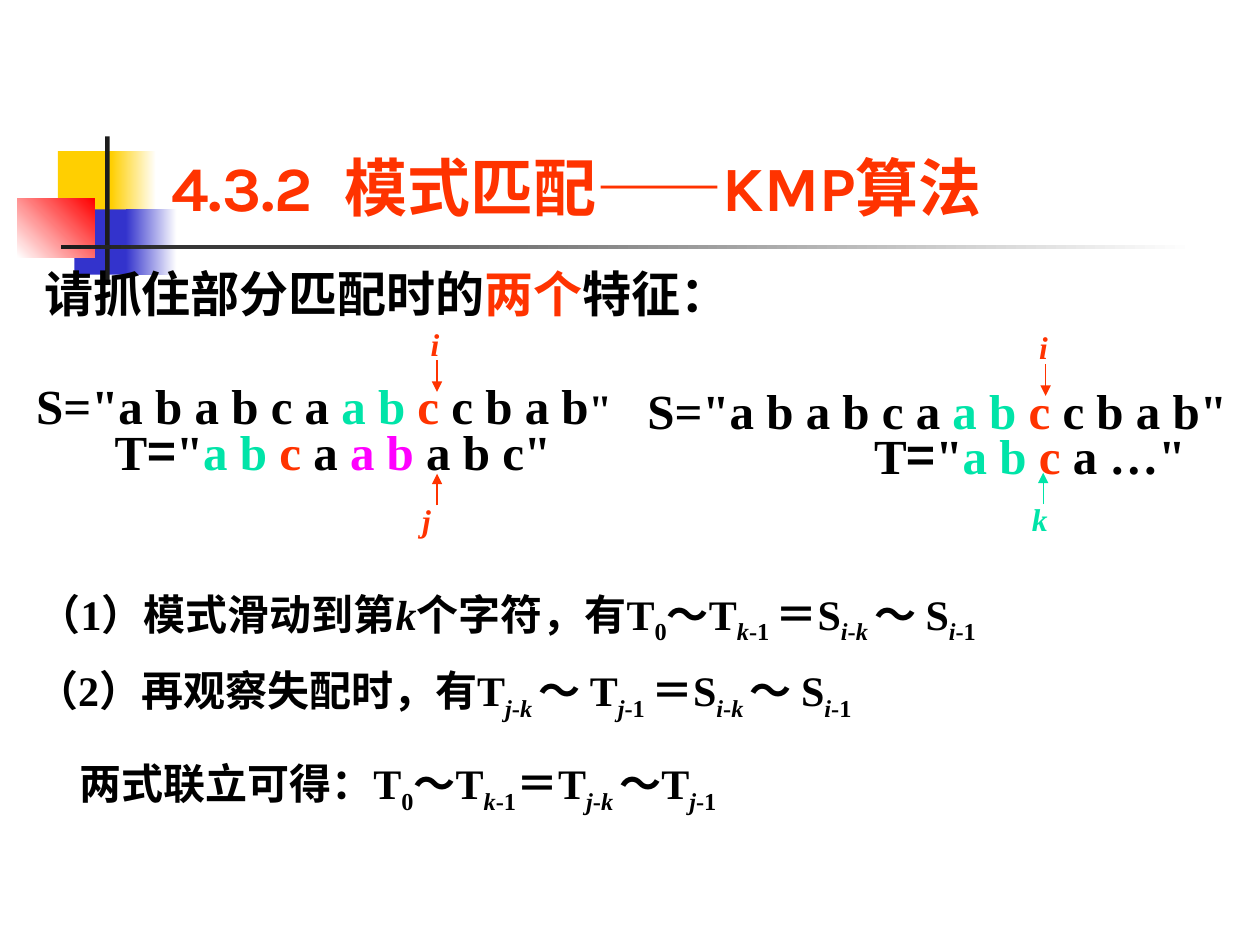
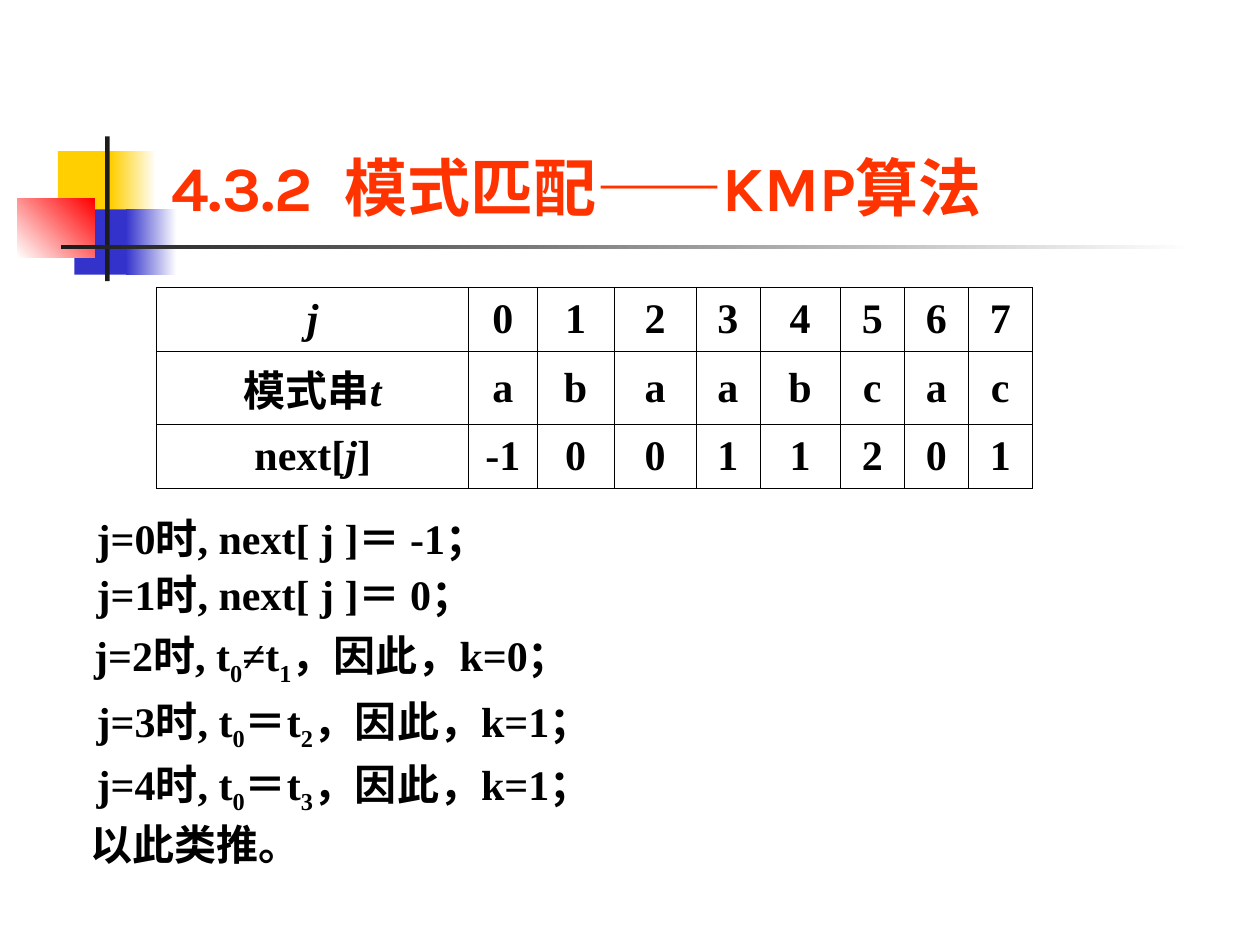
import pptx
import pptx.chart.data
import pptx.dml.color
import pptx.enum.dml
import pptx.enum.shapes
import pptx.enum.text
import pptx.oxml
import pptx.util
from dataclasses import dataclass
from lxml import etree

Cm, Pt = pptx.util.Cm, pptx.util.Pt
ANCHOR = pptx.enum.text.MSO_ANCHOR
ALIGN = pptx.enum.text.PP_ALIGN
A = "{http://schemas.openxmlformats.org/drawingml/2006/main}"


@dataclass(frozen=True)
class Theme:
    ink: str = "000000"
    red: str = "FF3300"
    mint: str = "00E4A8"
    pink: str = "FF00FF"
    bar: str = "1C1C1C"
    gold: str = "FFCF01"
    blue: str = "3333CC"
    scarlet: str = "FF0000"
    white: str = "FFFFFF"
    serif: str = "Times New Roman"
    sans: str = "Karla"
    dash: str = "Arial"
    chinese: str = "Noto Sans CJK SC"
    title: int = 36
    string: int = 28
    body: int = 24
    label: int = 18
    rule: float = 0.45
    arrow: float = 0.75


theme = Theme()

STYLES = {
    "plain": {},
    "italic": {"italic": True},
    "sub": {"sub": True},
    "subital": {"sub": True, "italic": True},
    "red": {"color": theme.red},
    "mint": {"color": theme.mint},
    "pink": {"color": theme.pink},
    "small": {"size": theme.body},
    "gothic": {"name": theme.chinese},
    "title": {"name": theme.sans, "color": theme.red},
    "dash": {"name": theme.dash, "color": theme.red},
    "redlabel": {"color": theme.red, "italic": True},
    "mintlabel": {"color": theme.mint, "italic": True},
}

ORNAMENTS = [
    (1.17, 3.05, 1.22, 1.32, [theme.gold], 0),
    (2.24, 3.05, 0.91, 1.32, [theme.gold, theme.white], 0),
    (1.5, 4.22, 1.17, 1.32, [theme.blue], 0),
    (2.54, 4.22, 1.02, 1.32, [theme.blue, theme.white], 0),
    (0.35, 4.01, 1.56, 1.18, [theme.white, theme.scarlet], 45),
    (2.12, 2.75, 0.09, 2.92, [theme.bar], 0),
    (1.23, 4.94, 22.86, 0.09, [theme.bar, theme.white], 0),
]
TITLE = [("4.3.2  模式匹配", "title"), ("——", "dash"), ("KMP算法", "title")]

SOURCE_START = [('S="a b a b c a ', "plain"), ("a b ", "mint"), ("c", "red")]
PATTERN_START = [("T", "plain"), ("=", "gothic"), ('"', "plain"),
                 ("a b ", "mint"), ("c", "red")]
STRINGS = [
    (0.64, 5.18, 14.9, [("请抓住部分匹配时的", "plain"), ("两个", "red"), ("特征：", "plain")]),
    (0.48, 7.44, 13.06, SOURCE_START + [(" c b a b", "plain"), ('"', "small")]),
    (12.8, 7.54, 12.88, SOURCE_START + [(' c b a b"', "plain")]),
    (17.37, 8.46, 7.47, PATTERN_START + [(' a …"', "plain")]),
    (2.06, 8.38, 9.93, PATTERN_START + [(" a ", "plain"), ("a b", "pink"),
                                        (' a b c"', "plain")]),
]
POINTERS = [
    ("i", "red", 8.43, 6.43, 8.81, 7.26, 7.9),
    ("j", "red", 8.26, 9.98, 8.81, 10.19, 9.55),
    ("i", "red", 20.7, 6.48, 21.08, 7.34, 7.98),
    ("k", "mint", 20.55, 9.96, 21.03, 10.16, 9.53),
]

S_RANGE = [("＝S", "plain"), ("i", "subital"), ("-", "sub"), ("k ", "subital"),
           ("～ S", "plain"), ("i", "subital"), ("-1", "sub")]
T_FROM_ZERO = [("0", "sub"), ("～T", "plain"), ("k", "subital")]
T_FROM_J = [("j", "subital"), ("-", "sub"), ("k ", "subital")]
EQUATIONS = [
    (0.53, 11.73, 23.24, 1.0,
     [("（1）模式滑动到第", "plain"), ("k", "italic"), ("个字符，有T", "plain"),
      *T_FROM_ZERO, ("-1 ", "sub"), *S_RANGE]),
    (0.48, 13.28, 21.39, 1.0,
     [("（2）再观察失配时，有T", "plain"), *T_FROM_J, ("～ T", "plain"),
      ("j", "subital"), ("-1 ", "sub"), *S_RANGE]),
    (1.35, 15.09, 23.5, 1.05,
     [("两式联立可得：T", "plain"), *T_FROM_ZERO, ("-1", "sub"), ("＝T", "plain"),
      *T_FROM_J, ("～T", "plain"), ("j", "subital"), ("-1", "sub")]),
]

TABLE_AT = (3.16, 5.79)
COLUMN_WIDTHS = [6.29, 1.38, 1.55, 1.65, 1.29, 1.62, 1.29, 1.29, 1.29]
ROW_HEIGHT = 1.29
NEXT_TABLE = [
    ([("j", "italic")], "0 1 2 3 4 5 6 7"),
    ([("模式串", "plain"), ("t", "italic")], "a b a a b c a c"),
    ([("next[", "plain"), ("j", "italic"), ("]", "plain")], "-1 0 0 1 1 2 0 1"),
]
BASE_CASES = [(0, "-1"), (1, "0")]
COMPARISONS = [
    (1.65, 12.57, 2, "≠", 1, 0),
    (1.7, 13.89, 3, "＝", 2, 1),
    (1.7, 15.16, 4, "＝", 3, 1),
]
CLOSING = [("以此类推。", "plain")]


def rgb(value):
    return pptx.dml.color.RGBColor.from_string(value)


def set_all(target, values):
    for name, value in values.items():
        setattr(target, name, value)


def write_para(para, runs, size, **layout):
    set_all(para, layout)
    for text, style in runs:
        look = {"name": theme.serif, "size": size, "color": theme.ink,
                "bold": True, "italic": False, "sub": False, **STYLES[style]}
        color, sub = look.pop("color"), look.pop("sub")
        look["size"] = Pt(look["size"])
        span = para.add_run()
        span.text = text
        set_all(span.font, look)
        span.font.color.rgb = rgb(color)
        props = span._r.get_or_add_rPr()
        etree.SubElement(props, A + "ea", typeface=theme.chinese)
        if sub:
            props.set("baseline", "-25000")


def add_text(page, left, top, width, height, paras, size, spacing=1.0,
             anchor=ANCHOR.TOP, fit=pptx.enum.text.MSO_AUTO_SIZE.SHAPE_TO_FIT_TEXT):
    box = page.shapes.add_textbox(Cm(left), Cm(top), Cm(width), Cm(height))
    frame = box.text_frame
    set_all(frame, {"word_wrap": True, "auto_size": fit, "vertical_anchor": anchor})
    for index, runs in enumerate(paras):
        para = frame.add_paragraph() if index else frame.paragraphs[0]
        write_para(para, runs, size, line_spacing=spacing)


def add_ornament(page, left, top, width, height, colors, angle):
    shape = page.shapes.add_shape(pptx.enum.shapes.MSO_SHAPE.RECTANGLE,
                                  Cm(left), Cm(top), Cm(width), Cm(height))
    shape.shadow.inherit = False
    shape.line.fill.background()
    if len(colors) == 1:
        shape.fill.solid()
        shape.fill.fore_color.rgb = rgb(colors[0])
        return
    shape.fill.gradient()
    shape.fill.gradient_angle = angle
    for stop, color in zip(shape.fill.gradient_stops, colors):
        stop.color.rgb = rgb(color)


def add_page(deck):
    page = deck.slides.add_slide(deck.slide_layouts[6])
    for ornament in ORNAMENTS:
        add_ornament(page, *ornament)
    add_text(page, 3.2, 0.58, 21.64, 4.06, [TITLE], theme.title,
             anchor=ANCHOR.BOTTOM, fit=pptx.enum.text.MSO_AUTO_SIZE.NONE)
    return page


def add_pointer(page, name, color, left, top, x, start, end):
    add_text(page, left, top, 0.87, 1.02, [[(name, color + "label")]], theme.label)
    arrow = page.shapes.add_connector(pptx.enum.shapes.MSO_CONNECTOR.STRAIGHT,
                                      Cm(x), Cm(start), Cm(x), Cm(end))
    arrow.line.color.rgb = rgb(STYLES[color]["color"])
    arrow.line.width = Pt(theme.arrow)
    etree.SubElement(arrow.line._get_or_add_ln(), A + "tailEnd", type="triangle")
    etree.SubElement(arrow._element.spPr, A + "effectLst")


def frame_cell(cell):
    cell.fill.background()
    props = cell._tc.get_or_add_tcPr()
    for index, side in enumerate(("lnL", "lnR", "lnT", "lnB")):
        line = etree.Element(A + side, w=str(int(Pt(theme.rule))))
        fill = etree.SubElement(line, A + "solidFill")
        etree.SubElement(fill, A + "srgbClr", val=theme.ink)
        props.insert(index, line)


def add_next_table(page):
    left, top = TABLE_AT
    rows, columns = len(NEXT_TABLE), len(COLUMN_WIDTHS)
    table = page.shapes.add_table(rows, columns, Cm(left), Cm(top), Cm(sum(COLUMN_WIDTHS)),
                                  Cm(rows * ROW_HEIGHT)).table
    set_all(table, {"first_row": False, "horz_banding": False})
    for column, width in zip(table.columns, COLUMN_WIDTHS):
        column.width = Cm(width)
    for row, (heading, values) in enumerate(NEXT_TABLE):
        table.rows[row].height = Cm(ROW_HEIGHT)
        contents = [heading] + [[(value, "plain")] for value in values.split()]
        for column, runs in enumerate(contents):
            cell = table.cell(row, column)
            cell.vertical_anchor = ANCHOR.MIDDLE
            write_para(cell.text_frame.paragraphs[0], runs, theme.body, alignment=ALIGN.CENTER)
            frame_cell(cell)


def build_features(deck):
    page = add_page(deck)
    for left, top, width, runs in STRINGS:
        add_text(page, left, top, width, 1.45, [runs], theme.string)
    for pointer in POINTERS:
        add_pointer(page, *pointer)
    for left, top, width, spacing, runs in EQUATIONS:
        add_text(page, left, top, width, 1.42, [runs], theme.body, spacing)


def build_next_values(deck):
    page = add_page(deck)
    add_next_table(page)
    bases = [[(f"j={j}时, next[ j ]＝ {value}；", "plain")] for j, value in BASE_CASES]
    add_text(page, 1.7, 10.11, 23.29, 2.49, bases, theme.body, 1.1)
    for left, top, j, sign, other, k in COMPARISONS:
        runs = [(f"j={j}时, t", "plain"), ("0", "sub"), (f"{sign}t", "plain"),
                (str(other), "sub"), (f"，因此，k={k}；", "plain")]
        add_text(page, left, top, 16.43, 1.42, [runs], theme.body)
    add_text(page, 1.57, 16.38, 15.32, 1.27, [CLOSING], theme.body)


def main():
    deck = pptx.Presentation()
    set_all(deck, {"slide_width": Cm(25.4), "slide_height": Cm(19.05)})
    build_features(deck)
    build_next_values(deck)
    deck.save("out.pptx")


if __name__ == "__main__":
    main()
